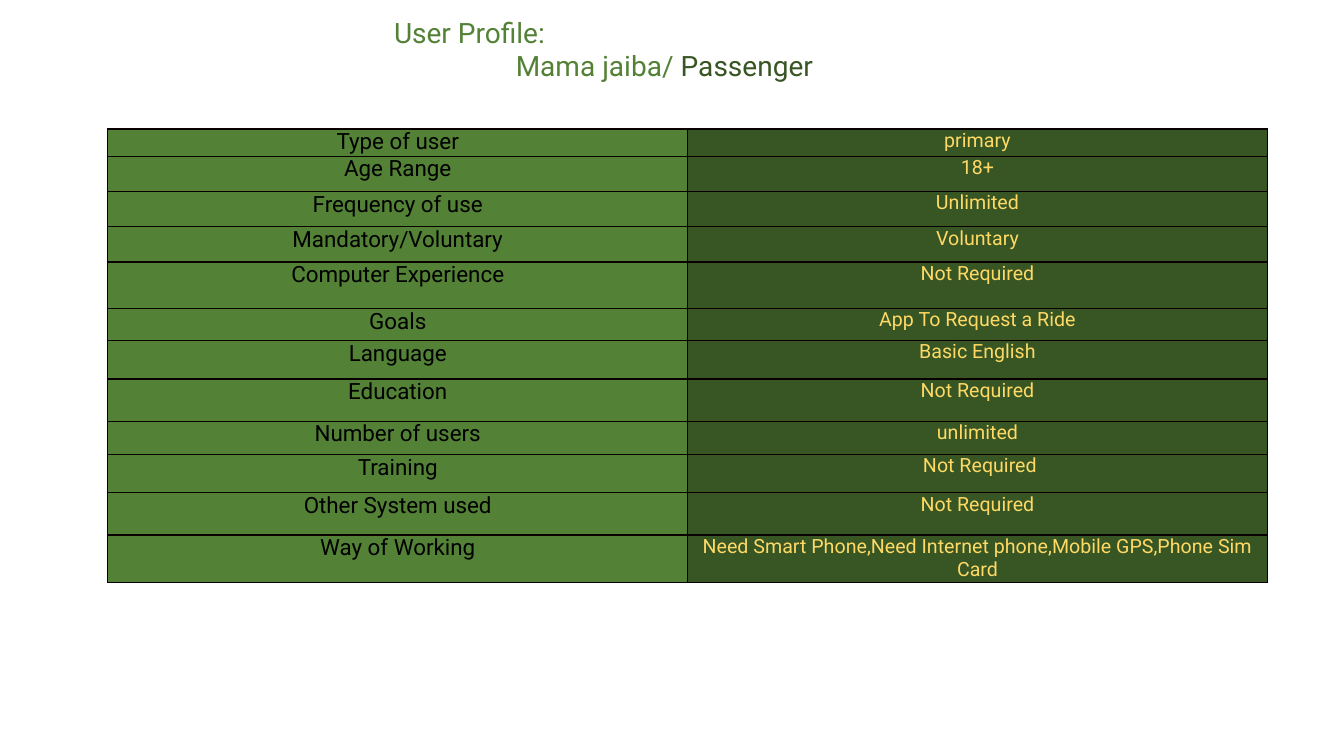
from lxml import etree
from pptx import Presentation
from pptx.dml.color import RGBColor
from pptx.enum.text import PP_ALIGN as Align
from pptx.oxml.ns import qn
from pptx.util import Inches, Pt

FONT = "Roboto"
LIGHT_GREEN, DARK_GREEN, YELLOW = "538135", "375623", "FFD965"
COLUMNS = [(LIGHT_GREEN, "000000", 16), (DARK_GREEN, YELLOW, 14)]  # fill, text, size

# Label, value, row height
PROFILE = [
    ("Type of user", "primary", 0.27),
    ("Age Range", "18+", 0.35),
    ("Frequency of use", "Unlimited", 0.35),
    ("Mandatory/Voluntary", "Voluntary", 0.35),
    ("Computer Experience", "Not Required", 0.46),
    ("Goals", "App To Request a Ride", 0.32),
    ("Language", "Basic English", 0.38),
    ("Education", "Not Required", 0.42),
    ("Number of users", "unlimited", 0.33),
    ("Training", " Not Required", 0.38),
    ("Other System used", "Not Required", 0.42),
    ("Way of Working", "Need Smart Phone,Need Internet phone,Mobile GPS,Phone Sim Card", 0.44),
]


def color(value):
    return RGBColor.from_string(value)


def format_run(run, size, text_color):
    run.font.name = FONT
    run.font.size = Pt(size)
    run.font.color.rgb = color(text_color)


def set_borders(cell, line_color, width):
    properties = cell._tc.get_or_add_tcPr()
    for index, side in enumerate(("lnL", "lnR", "lnT", "lnB")):
        line = etree.Element(qn("a:" + side), w=str(Pt(width)))
        fill = etree.SubElement(line, qn("a:solidFill"))
        etree.SubElement(fill, qn("a:srgbClr"), val=line_color)
        properties.insert(index, line)  # borders come before the fill


def add_title(slide, left, top, width, height):
    box = slide.shapes.add_textbox(Inches(left), Inches(top), Inches(width), Inches(height))
    text_frame = box.text_frame
    text_frame.word_wrap = True
    text_frame.text = "User Profile:\nMama jaiba/"
    heading, name = text_frame.paragraphs
    heading.alignment, name.alignment = Align.LEFT, Align.CENTER
    name.add_run().text = " Passenger"
    for run, text_color in zip((*heading.runs, *name.runs), (LIGHT_GREEN, LIGHT_GREEN, "385623")):
        format_run(run, 20, text_color)


def add_profile_table(slide, left, top, width):
    height = sum(row[2] for row in PROFILE)
    frame = slide.shapes.add_table(len(PROFILE), len(COLUMNS), Inches(left), Inches(top),
                                   Inches(width), Inches(height))
    table = frame.table
    table.first_row = table.horz_banding = False
    for column in table.columns:
        column.width = Inches(width / len(COLUMNS))

    for row, (label, value, row_height) in zip(table.rows, PROFILE):
        row.height = Inches(row_height)
        for cell, text, (fill, text_color, size) in zip(row.cells, (label, value), COLUMNS):
            cell.margin_left = cell.margin_right = Inches(0.07)
            cell.margin_top = cell.margin_bottom = 0
            cell.fill.solid()
            cell.fill.fore_color.rgb = color(fill)
            set_borders(cell, "080000", 1)
            cell.text_frame.text = text
            paragraph = cell.text_frame.paragraphs[0]
            paragraph.alignment = Align.CENTER
            format_run(paragraph.runs[0], size, text_color)


def main():
    presentation = Presentation()
    presentation.slide_width, presentation.slide_height = Inches(13.33), Inches(7.5)
    slide = presentation.slides.add_slide(presentation.slide_layouts[6])
    add_title(slide, 3.81, 0.1, 5.56, 0.77)
    add_profile_table(slide, 1.07, 1.28, 11.5)
    presentation.save("out.pptx")


if __name__ == "__main__":
    main()
